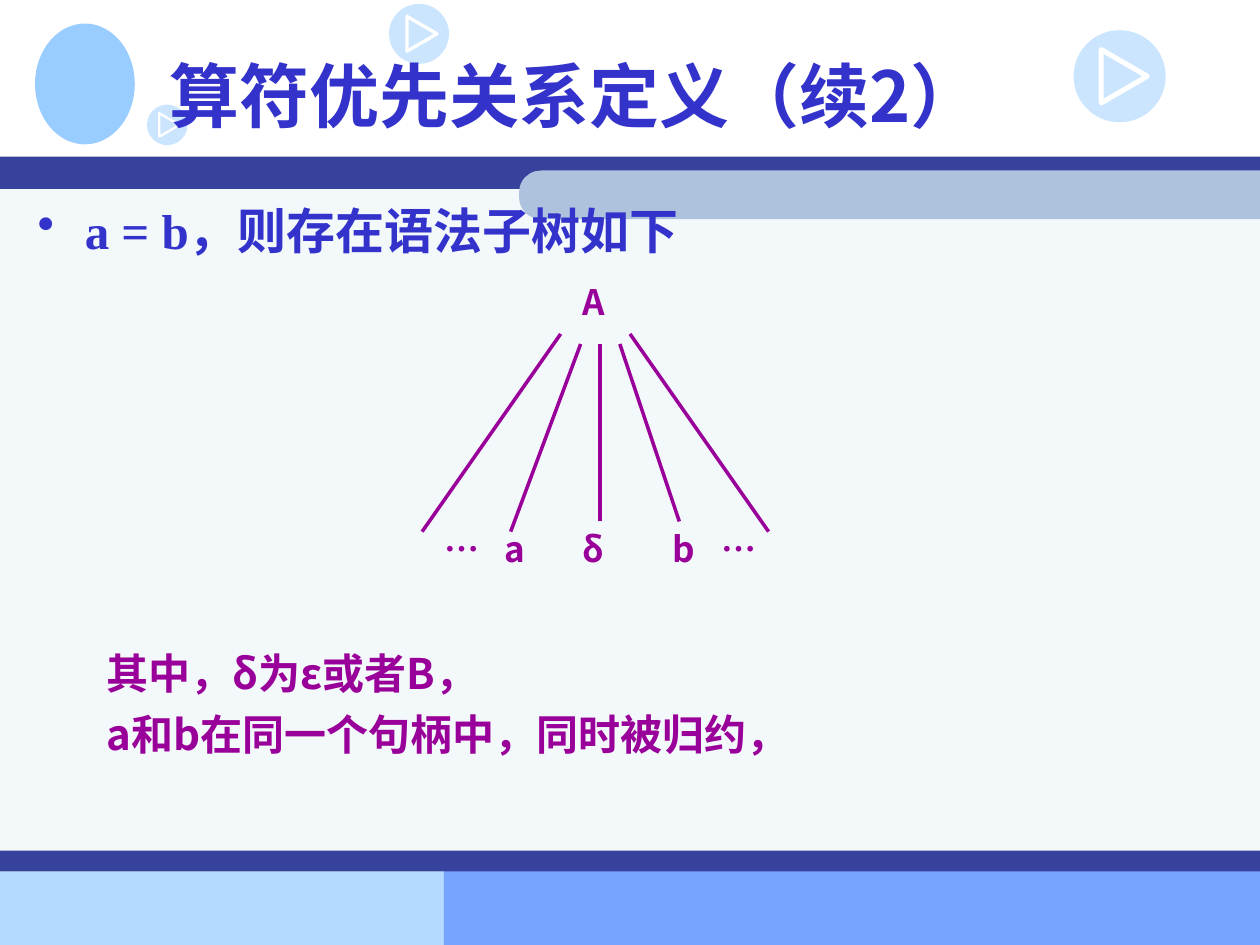
from lxml.etree import SubElement
from pptx import Presentation
from pptx.dml.color import RGBColor
from pptx.enum.shapes import MSO_CONNECTOR as Link, MSO_SHAPE as Shape
from pptx.enum.text import MSO_ANCHOR as Anchor
from pptx.oxml.ns import qn
from pptx.util import Pt

WHITE = RGBColor(0xFF, 0xFF, 0xFF)
SKY = RGBColor(0xB5, 0xDA, 0xFF)
BLUE = RGBColor(0x77, 0xA4, 0xFF)
PALE = RGBColor(0xF3, 0xF8, 0xFB)
NAVY = RGBColor(0x36, 0x42, 0x9B)
STEEL = RGBColor(0xAD, 0xC3, 0xDD)
LIGHT = RGBColor(0x99, 0xCC, 0xFF)
INDIGO = RGBColor(0x33, 0x33, 0xCC)
PURPLE = RGBColor(0x99, 0x00, 0x99)
SANS = "Noto Sans CJK SC"
SERIF = "Times New Roman"

presentation = Presentation()
presentation.slide_width, presentation.slide_height = Pt(720), Pt(540)
slide = presentation.slides.add_slide(presentation.slide_layouts[6])
shapes = slide.shapes


def paint(kind, left, top, width, height, color):
    shape = shapes.add_shape(kind, Pt(left), Pt(top), Pt(width), Pt(height))
    shape.shadow.inherit = False
    shape.fill.solid()
    shape.fill.fore_color.rgb = color
    shape.line.fill.background()
    return shape


def write(text, left, top, width, height, size, color, face=SANS, before=0, wrap=True):
    frame = shapes.add_textbox(Pt(left), Pt(top), Pt(width), Pt(height)).text_frame
    frame.word_wrap = wrap
    frame.text = text
    for paragraph in frame.paragraphs:
        paragraph.space_before = Pt(before)
        font = paragraph.runs[0].font
        font.name, font.size, font.bold = face, Pt(size), True
        font.color.rgb = color
        SubElement(font._element, qn("a:ea")).set("typeface", SANS)
    return frame


for left, top, width, height, color in [
    (0, 498, 306, 42, SKY),
    (253.5, 497.5, 466.5, 42.5, BLUE),
    (0, 101, 720, 396.5, PALE),
    (0, 89.5, 720, 18.5, NAVY),
    (0, 486, 720, 12, NAVY),
]:
    paint(Shape.RECTANGLE, left, top, width, height, color)
shapes[1].left, shapes[1].width = Pt(253.5), Pt(466.5)
shapes[0].width = Pt(253.5)

bar_left, bar_top, bar_height = 296.6, 97.4, 27.8
bar_length = 720 - bar_left
tab = paint(
    Shape.ROUND_2_SAME_RECTANGLE,
    bar_left + (bar_length - bar_height) / 2,
    bar_top - (bar_length - bar_height) / 2,
    bar_height, bar_length, STEEL,
)
tab.rotation = 270
tab.adjustments[0] = 0.45

paint(Shape.OVAL, 20, 13.5, 57, 69, LIGHT)

for left, top, size in [(222.3, 2.2, 34.3), (613.5, 17.3, 52.6), (84, 59.8, 23.2)]:
    disc = paint(Shape.OVAL, left, top, size, size, LIGHT)
    tint = disc.fill._xPr.find(qn("a:solidFill"))[0]
    SubElement(tint, qn("a:alpha")).set("val", "50000")
    corners = [(Pt(left + x * size), Pt(top + y * size))
               for x, y in [(0.3, 0.21), (0.8, 0.5), (0.3, 0.79)]]
    outline = shapes.build_freeform(*corners[0], scale=1.0)
    outline.add_line_segments(corners[1:], close=True)
    arrow = outline.convert_to_shape()
    arrow.shadow.inherit = False
    arrow.fill.background()
    arrow.line.color.rgb = WHITE
    arrow.line.width = Pt(round(size * 0.055, 2))

title = write("算符优先关系定义（续2）", 90, 12, 612, 84, 40, INDIGO)
title.vertical_anchor = Anchor.MIDDLE

statement = write("a = b，则存在语法子树如下", 14.4, 111, 692, 357, 28, INDIGO, SERIF, 7)
properties = statement.paragraphs[0]._p.get_or_add_pPr()
properties.set("marL", str(Pt(27)))
properties.set("indent", str(Pt(-27)))
bullet_color = SubElement(properties, qn("a:buClr"))
SubElement(bullet_color, qn("a:srgbClr")).set("val", str(INDIGO))
SubElement(properties, qn("a:buChar")).set("char", "•")

for symbol, left, top in [
    ("A", 326, 157),
    ("…", 247, 298),
    ("a", 281, 298),
    ("δ", 326, 298),
    ("b", 377, 298),
    ("…", 405, 298),
]:
    write(symbol, left, top, 28, 32, 20, PURPLE, before=12.5, wrap=False)

for start_x, start_y, end_x, end_y in [
    (320.4, 190.8, 241.2, 303.8),
    (331.8, 196.6, 291.8, 303.8),
    (342.9, 196.6, 342.9, 298),
    (354.2, 196.6, 388.2, 298),
    (360, 190.8, 439.2, 303.8),
]:
    branch = shapes.add_connector(Link.STRAIGHT, Pt(start_x), Pt(start_y), Pt(end_x), Pt(end_y))
    branch.line.color.rgb = PURPLE
    branch.line.width = Pt(2)
    SubElement(branch._element.spPr, qn("a:effectLst"))

write("其中，δ为ε或者B，\na和b在同一个句柄中，同时被归约，", 54, 366.5, 624, 85, 24, PURPLE, before=6)

presentation.save("out.pptx")
